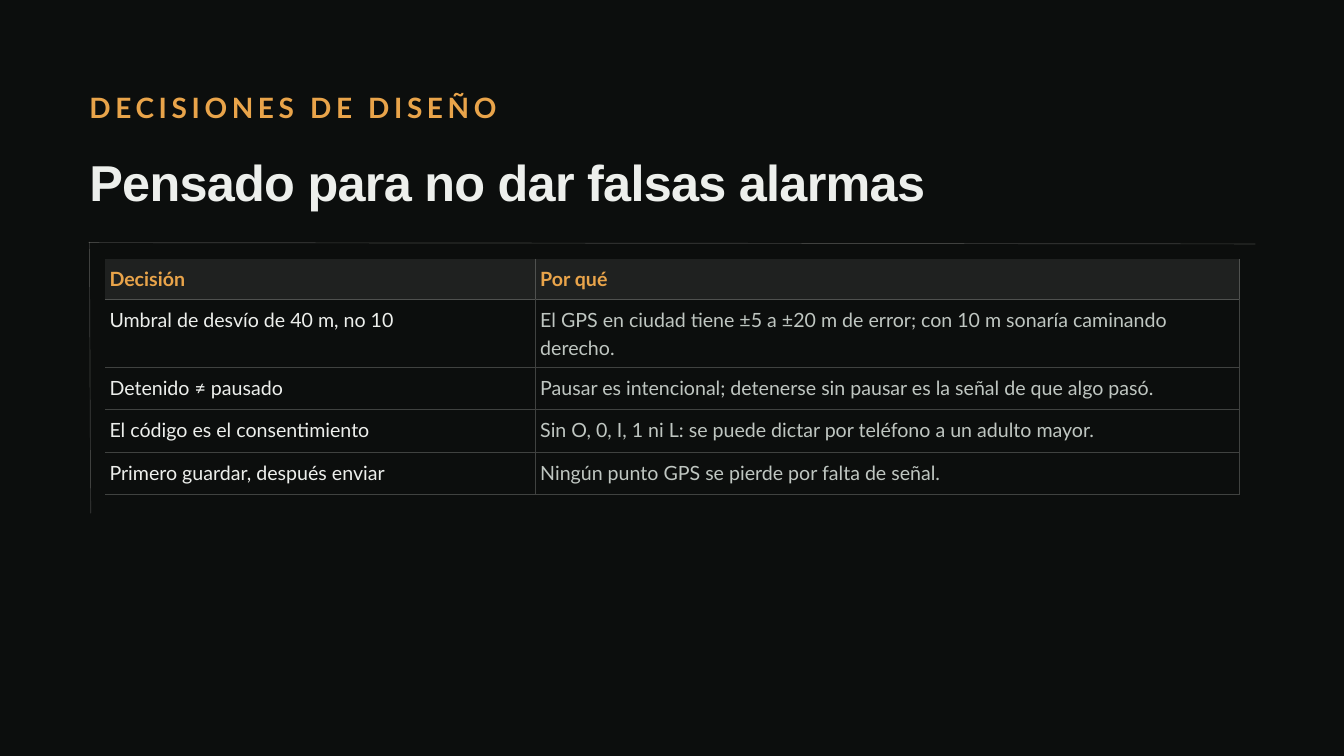
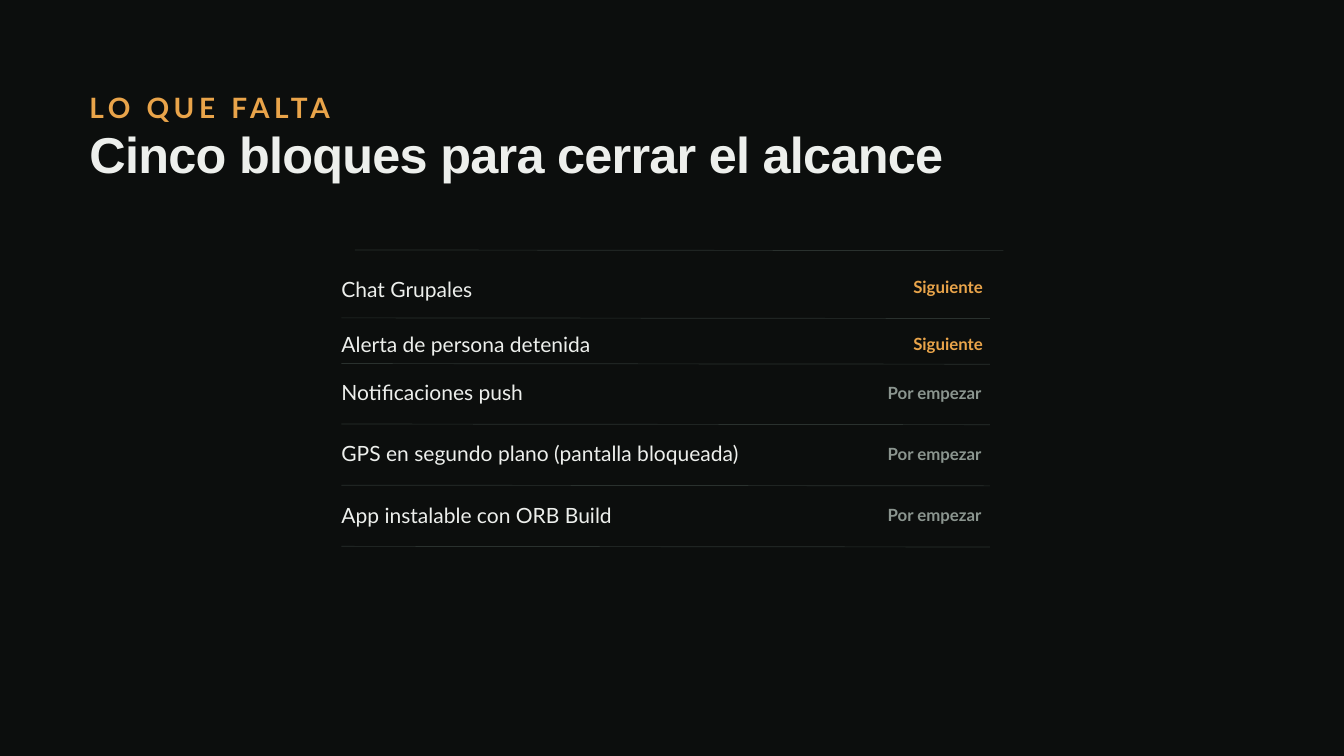
from lxml import etree
from pptx import Presentation
from pptx.dml.color import RGBColor
from pptx.enum.shapes import MSO_CONNECTOR
from pptx.enum.text import MSO_ANCHOR, MSO_AUTO_SIZE, PP_ALIGN
from pptx.oxml.ns import qn
from pptx.util import Inches, Pt

STRAIGHT = MSO_CONNECTOR.STRAIGHT
TOP = MSO_ANCHOR.TOP
GROW = MSO_AUTO_SIZE.SHAPE_TO_FIT_TEXT
LEFT = PP_ALIGN.LEFT

# Colours
NIGHT = RGBColor(0x0C, 0x0E, 0x0D)
AMBER = RGBColor(0xE9, 0xA4, 0x4A)
CHALK = RGBColor(0xED, 0xEF, 0xEC)
SILVER = RGBColor(0xBF, 0xC6, 0xC1)
GREY = RGBColor(0x8B, 0x95, 0x8F)
IVORY = RGBColor(0xFA, 0xF9, 0xF5)
RULE = RGBColor(0x2A, 0x31, 0x2E)
HEADER = RGBColor(0x1F, 0x21, 0x20)
HEADER_EDGE = RGBColor(0x4F, 0x51, 0x4F)
CELL_EDGE = RGBColor(0x40, 0x42, 0x40)

# Text styles: font attributes, line pitch and letter spacing in points
STYLES = {
    "kicker": ({"name": "Lato", "size": Pt(30), "bold": True}, 42, 5),
    "title": ({"name": "Arial", "size": Pt(54), "bold": True}, 59.4, -0.8),
    "header": ({"name": "Lato", "size": Pt(21), "bold": True}, 29.4, 0),
    "cell": ({"name": "Lato", "size": Pt(21), "bold": False}, 29.4, 0),
    "task": ({"name": "Lato", "size": Pt(22.5), "bold": False}, 31.5, 0),
    "status": ({"name": "Lato", "size": Pt(18), "bold": True}, 25.2, 0),
}
FRAME = {"margin_left": 0, "margin_right": 0, "margin_top": 0, "margin_bottom": 0,
         "word_wrap": True, "vertical_anchor": TOP, "auto_size": GROW}
CELL_MARGINS = dict.fromkeys(
    ("margin_left", "margin_right", "margin_top", "margin_bottom"), Inches(0.07))

# Grid shared by the slides
COLUMNS, ROWS = 20, 11.25
MARGIN, CONTENT_WIDTH = 1.33, 17.85

# Content
DECISIONS = [
    ("Decisión", "Por qué"),
    ("Umbral de desvío de 40 m, no 10",
     "El GPS en ciudad tiene ±5 a ±20 m de error; con 10 m sonaría caminando derecho."),
    ("Detenido ≠ pausado",
     "Pausar es intencional; detenerse sin pausar es la señal de que algo pasó."),
    ("El código es el consentimiento",
     "Sin O, 0, I, 1 ni L: se puede dictar por teléfono a un adulto mayor."),
    ("Primero guardar, después enviar",
     "Ningún punto GPS se pierde por falta de señal."),
]
# Status: left, width, colour
STATUSES = {"Siguiente": (13.59, 1.21, AMBER), "Por empezar": (13.21, 1.59, GREY)}
# Task, status, task top, status top, task width, rule below
TASKS = [
    ("Chat Grupales", "Siguiente", 4.06, 4.07, 4.6, 4.73),
    ("Alerta de persona detenida", "Siguiente", 4.87, 4.92, 4.74, 5.41),
    ("Notificaciones push", "Por empezar", 5.59, 5.65, 3.44, 6.31),
    ("GPS en segundo plano (pantalla bloqueada)", "Por empezar", 6.5, 6.55, 7.61, 7.22),
    ("App instalable con ORB Build", "Por empezar", 7.41, 7.46, 4.95, 8.13),
]


def apply(target, values):
    for name, value in values.items():
        setattr(target, name, value)


class Deck:
    def __init__(self):
        self.prs = Presentation()
        self.prs.slide_width, self.prs.slide_height = Inches(20), Inches(11.25)
        background = self.prs.slide_master.background.fill
        background.solid()
        background.fore_color.rgb = NIGHT
        self.slide = None

    def x(self, columns):
        return round(self.prs.slide_width * columns / COLUMNS)

    def y(self, rows):
        return round(self.prs.slide_height * rows / ROWS)

    def box(self, left, top, width, height):
        return self.x(left), self.y(top), self.x(width), self.y(height)

    def set_text(self, frame, text, style, colour):
        font, pitch, spacing = STYLES[style]
        paragraph = frame.paragraphs[0]
        apply(paragraph, {"alignment": LEFT, "line_spacing": Pt(pitch),
                          "space_before": Pt(0)})
        run = paragraph.add_run()
        run.text = text
        apply(run.font, font)
        run.font.color.rgb = colour
        if spacing:
            run._r.get_or_add_rPr().set("spc", str(round(spacing * 100)))

    def text(self, text, style, colour, *place):
        frame = self.slide.shapes.add_textbox(*self.box(*place)).text_frame
        apply(frame, FRAME)
        self.set_text(frame, text, style, colour)

    def new_slide(self, kicker, heading, heading_top):
        self.slide = self.prs.slides.add_slide(self.prs.slide_layouts[5])
        title = self.slide.shapes.title
        place = self.box(MARGIN, heading_top, CONTENT_WIDTH, 0.85)
        apply(title, dict(zip(("left", "top", "width", "height"), place)))
        apply(title.text_frame, FRAME)
        self.set_text(title.text_frame, heading, "title", CHALK)
        self.text(kicker, "kicker", AMBER, MARGIN, 1.26, CONTENT_WIDTH, 0.57)

    def line(self, x1, y1, x2, y2, colour, opacity=None):
        rule = self.slide.shapes.add_connector(
            STRAIGHT, self.x(x1), self.y(y1), self.x(x2), self.y(y2))
        rule.line.width = Pt(0.75)
        rule.line.color.rgb = colour
        properties = rule._element.spPr
        if opacity:
            tone = properties.find(".//" + qn("a:srgbClr"))
            etree.SubElement(tone, qn("a:alpha"), val=str(opacity * 1000))
        etree.SubElement(properties, qn("a:effectLst"))

    def edges(self, cell, colours):
        properties = cell._tc.get_or_add_tcPr()
        for side in "LRTB":
            colour = colours[side]
            edge = etree.SubElement(properties, qn("a:ln" + side), w=str(int(Pt(1))))
            if colour is None:
                etree.SubElement(edge, qn("a:noFill"))
            else:
                fill = etree.SubElement(edge, qn("a:solidFill"))
                etree.SubElement(fill, qn("a:srgbClr"), val=str(colour))

    def table(self, rows, left, top, widths, heights):
        place = self.box(left, top, sum(widths), sum(heights))
        table = self.slide.shapes.add_table(len(rows), len(widths), *place).table
        apply(table, {"first_row": False, "horz_banding": False})
        for column, width in zip(table.columns, widths):
            column.width = self.x(width)
        for r, (row, height) in enumerate(zip(rows, heights)):
            table.rows[r].height = self.y(height)
            for c, text in enumerate(row):
                self.cell(table.cell(r, c), text, r, c)

    def cell(self, cell, text, row, column):
        edge = CELL_EDGE if row else HEADER_EDGE
        above = {0: None, 1: HEADER_EDGE}.get(row, CELL_EDGE)
        self.edges(cell, {"L": edge if column else None, "R": edge, "T": above, "B": edge})
        apply(cell, CELL_MARGINS)
        if row:
            cell.fill.background()
            self.set_text(cell.text_frame, text, "cell", SILVER if column else CHALK)
        else:
            cell.fill.solid()
            cell.fill.fore_color.rgb = HEADER
            self.set_text(cell.text_frame, text, "header", AMBER)


def main():
    deck = Deck()

    # Design decisions
    deck.new_slide("DECISIONES DE DISEÑO", "Pensado para no dar falsas alarmas", 2.32)
    deck.line(1.32, 3.61, 18.68, 3.63, IVORY, 22)
    deck.line(1.33, 3.6, 1.35, 7.64, IVORY, 22)
    deck.table(DECISIONS, 1.56, 3.85, (6.41, 10.47), (0.61, 1.01, 0.63, 0.63, 0.63))

    # Remaining work
    deck.new_slide("LO QUE FALTA", "Cinco bloques para cerrar el alcance", 1.91)
    deck.line(5.28, 3.72, 14.93, 3.73, RULE)
    for task, status, task_top, status_top, width, rule in TASKS:
        left, status_width, colour = STATUSES[status]
        deck.text(task, "task", CHALK, 5.08, task_top, width, 0.53)
        deck.text(status, "status", colour, left, status_top, status_width, 0.43)
        deck.line(5.08, rule, 14.73, rule + 0.01, RULE)

    deck.prs.save("out.pptx")


if __name__ == "__main__":
    main()
